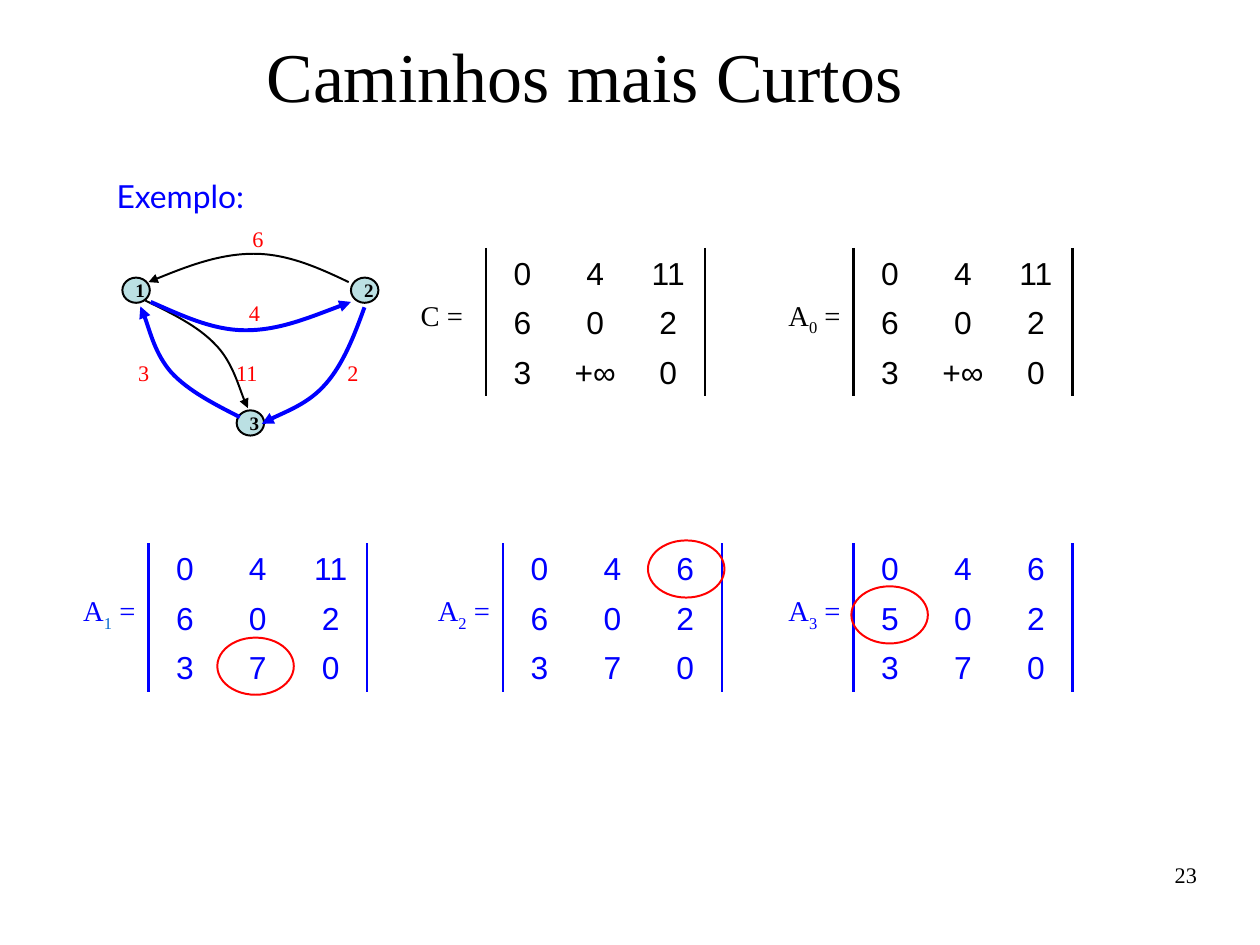
from lxml import etree
from pptx import Presentation
from pptx.dml.color import RGBColor
from pptx.enum.shapes import MSO_CONNECTOR, MSO_SHAPE
from pptx.enum.text import MSO_ANCHOR, MSO_AUTO_SIZE, PP_ALIGN
from pptx.oxml.ns import qn
from pptx.util import Cm, Pt

BLACK = RGBColor(0x00, 0x00, 0x00)
BLUE = RGBColor(0x00, 0x00, 0xFF)
TEAL_BLUE = RGBColor(0x00, 0x66, 0xCC)
RED = RGBColor(0xFF, 0x00, 0x00)
NODE_FILL = RGBColor(0xBB, 0xE0, 0xE3)
LEFT, CENTER, RIGHT = PP_ALIGN.LEFT, PP_ALIGN.CENTER, PP_ALIGN.RIGHT
MIDDLE = MSO_ANCHOR.MIDDLE
NO_AUTOFIT = MSO_AUTO_SIZE.NONE
OVAL = MSO_SHAPE.OVAL
STRAIGHT = MSO_CONNECTOR.STRAIGHT
SERIF, SANS, HEADING = "Times New Roman", "Arial", "Lato"


def add_text(shapes, box, text, size, color, font=SERIF, align=LEFT, before=0):
    """Add a one-paragraph text box; box is left, top, width, height in cm."""
    text_box = shapes.add_textbox(*[Cm(value) for value in box])
    text_box.text_frame.word_wrap = True
    paragraph = text_box.text_frame.paragraphs[0]
    paragraph.text = text
    paragraph.alignment = align
    paragraph.space_before = Pt(before)
    paragraph.font.name = font
    paragraph.font.size = Pt(size)
    paragraph.font.color.rgb = color
    return text_box


def add_ellipse(shapes, box, color, fill=None):
    """Add an outlined ellipse, hollow unless a fill colour is given."""
    ellipse = shapes.add_shape(OVAL, *[Cm(value) for value in box])
    ellipse.shadow.inherit = False
    ellipse.line.color.rgb = color
    ellipse.line.width = Pt(1.25)
    if fill is None:
        ellipse.fill.background()
    else:
        ellipse.fill.solid()
        ellipse.fill.fore_color.rgb = fill


presentation = Presentation()
presentation.slide_width = Cm(28)
presentation.slide_height = Cm(21)
slide = presentation.slides.add_slide(presentation.slide_layouts[5])

# Title and heading
title = slide.shapes.title
title.left, title.top, title.width, title.height = Cm(4.01), Cm(0.66), Cm(17.98), Cm(1.98)
title.text_frame.text = "Caminhos mais Curtos"
title.text_frame.auto_size = NO_AUTOFIT
title.text_frame.vertical_anchor = MIDDLE
title_paragraph = title.text_frame.paragraphs[0]
title_paragraph.alignment = CENTER
title_paragraph.font.name = SERIF
title_paragraph.font.size = Pt(44)
title_paragraph.font.color.rgb = BLACK
add_text(slide.shapes, (2.34, 3.81, 3.61, 1.47), "Exemplo:", 20, BLUE, HEADING, before=5)

# Graph nodes
graph = slide.shapes.add_group_shape().shapes
for name, left, top in [("1", 2.72, 6.17), ("2", 7.8, 6.17), ("3", 5.26, 9.12)]:
    add_ellipse(graph, (left, top, 0.61, 0.56), BLACK, NODE_FILL)
    node_label = add_text(graph, (left + 0.04, top - 0.11, 0.74, 0.74), name, 12, BLACK, before=7.5)
    node_label.text_frame.paragraphs[0].font.bold = True

# Graph edges: weight, label position, colour, line width, Bezier points
EDGES = [
    ("6", (5.36, 4.88), BLACK, 1.25,
     [(7.75, 6.27), (7.06, 5.94), (6.38, 5.64), (5.64, 5.64), (4.9, 5.64), (4.09, 5.94), (3.3, 6.27)]),
    ("11", (5, 7.87), BLACK, 1.25,
     [(3.23, 6.68), (3.81, 6.96), (4.39, 7.24), (4.78, 7.65), (5.16, 8.03), (5.38, 8.84), (5.51, 9.07)]),
    ("2", (7.47, 7.87), BLUE, 2.5,
     [(8.1, 6.83), (7.87, 7.47), (7.62, 8.1), (7.24, 8.53), (6.86, 8.97), (6.05, 9.27), (5.82, 9.42)]),
    ("4", (5.28, 6.53), BLUE, 2.5,
     [(3.35, 6.71), (4.04, 7.01), (4.72, 7.34), (5.46, 7.34), (6.2, 7.34), (6.99, 7.01), (7.8, 6.71)]),
    ("3", (2.82, 7.87), BLUE, 2.5,
     [(5.33, 9.27), (4.78, 8.99), (4.19, 8.69), (3.81, 8.28), (3.45, 7.87), (3.25, 7.06), (3.12, 6.81)]),
]
for weight, label_position, color, width, points in EDGES:
    start, *controls = [(Cm(x), Cm(y)) for x, y in points]
    builder = graph.build_freeform(*start)
    builder.add_line_segments(controls, close=False)
    edge = builder.convert_to_shape()
    edge.shadow.inherit = False
    edge.fill.background()
    edge.line.color.rgb = color
    edge.line.width = Pt(width)
    # Every three straight segments become one cubic curve
    outline = next(edge._element.iter(qn("a:path")))
    segments = list(outline)[1:]
    for first in range(0, len(segments), 3):
        curve = etree.SubElement(outline, qn("a:cubicBezTo"))
        for segment in segments[first:first + 3]:
            curve.append(segment[0])
            outline.remove(segment)
    etree.SubElement(edge._element.spPr.find(qn("a:ln")), qn("a:tailEnd"), type="triangle")
    label_width = 0.79 if len(weight) == 1 else 1.04
    add_text(graph, (*label_position, label_width, 0.81), weight, 14, RED, before=8.7)

# Matrices: name, subscript, subscript colour, left, top, colour, rows
CELL_WIDTH, CELL_HEIGHT = 1.62, 1.1
COSTS = ["0 4 11", "6 0 2", "3 +∞ 0"]
MATRICES = [
    ("C", "", BLACK, 10.8, 5.51, BLACK, COSTS),
    ("A", "0", BLACK, 18.97, 5.51, BLACK, COSTS),
    ("A", "1", TEAL_BLUE, 3.3, 12.07, BLUE, ["0 4 11", "6 0 2", "3 7 0"]),
    ("A", "2", BLUE, 11.18, 12.07, BLUE, ["0 4 6", "6 0 2", "3 7 0"]),
    ("A", "3", BLUE, 18.97, 12.07, BLUE, ["0 4 6", "5 0 2", "3 7 0"]),
]
for name, subscript, subscript_color, left, top, color, rows in MATRICES:
    matrix = slide.shapes.add_group_shape().shapes
    for row, values in enumerate(rows):
        for column, value in enumerate(values.split()):
            cell = (left + column * CELL_WIDTH, top + row * CELL_HEIGHT, CELL_WIDTH, CELL_HEIGHT)
            add_text(matrix, cell, value, 20, color, SANS, CENTER, 5)
    for x in (left, left + 3 * CELL_WIDTH):
        bar = matrix.add_connector(STRAIGHT, Cm(x), Cm(top), Cm(x), Cm(top + 3 * CELL_HEIGHT))
        bar.line.color.rgb = color
        bar.line.width = Pt(1.5)
        etree.SubElement(bar._element.spPr, qn("a:effectLst"))
    label = add_text(matrix, (left - 1.7, top + 0.99, 1.85, 0.97), name, 18, color, before=11.2)
    label_paragraph = label.text_frame.paragraphs[0]
    if subscript:
        index = label_paragraph.add_run()
        index.text = subscript
        index.font.color.rgb = subscript_color
        index._r.get_or_add_rPr().set("baseline", "-25000")
    label_paragraph.add_run().text = " = "

# Highlighted changes
for left, top in [(4.83, 14.17), (14.4, 12.01), (18.92, 13.03)]:
    add_ellipse(slide.shapes, (left, top, 1.7, 1.27), RED)

# Page number
page_number = add_text(slide.shapes, (20.07, 19.13, 6.53, 1.45), "23", 14, BLACK, align=RIGHT)
frame = page_number.text_frame
frame.margin_left = frame.margin_right = frame.margin_top = frame.margin_bottom = 0

presentation.save("out.pptx")
